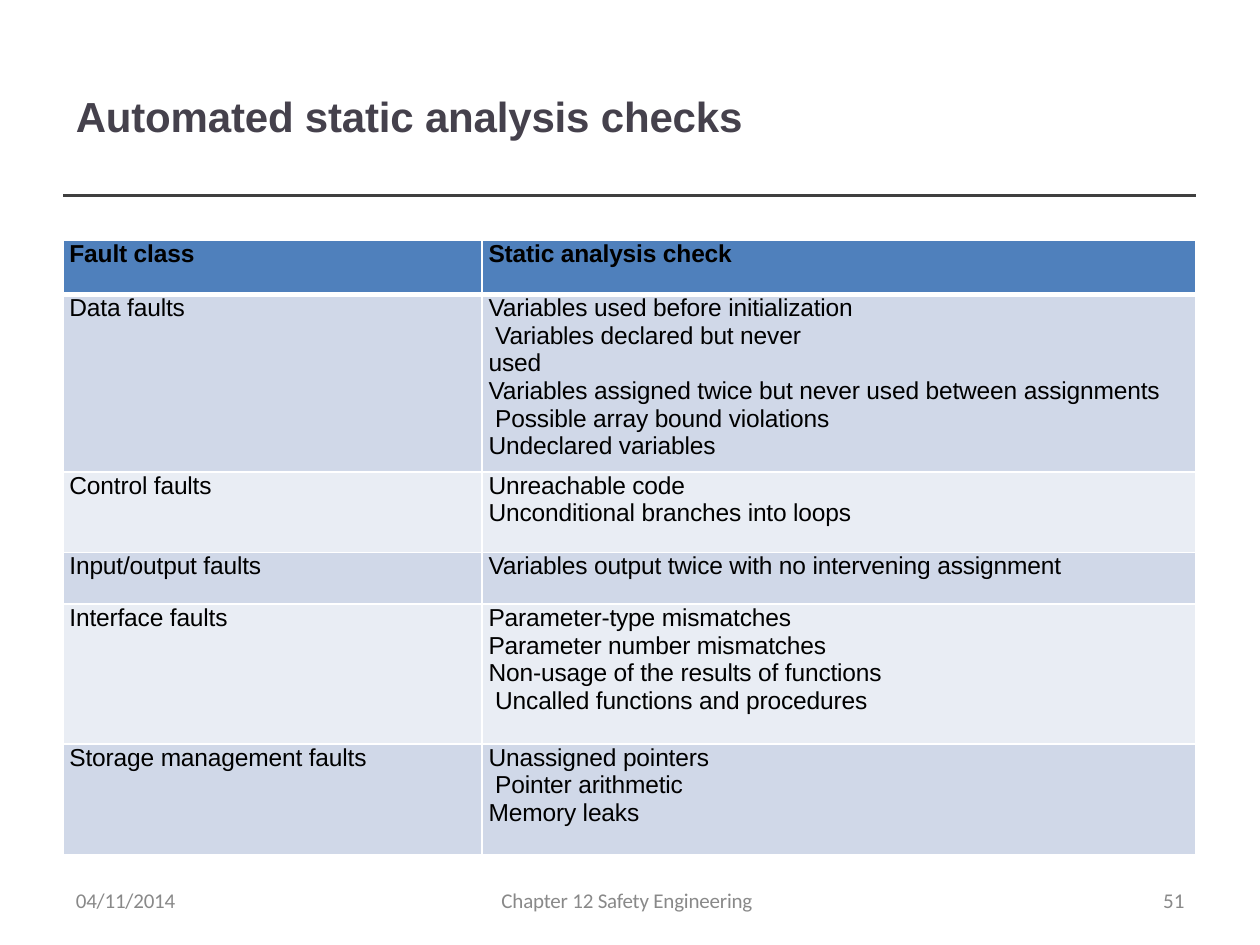
from lxml.etree import SubElement
from pptx import Presentation
from pptx.dml.color import RGBColor
from pptx.enum.shapes import MSO_CONNECTOR
from pptx.oxml.ns import qn
from pptx.util import Cm, Pt

INK = RGBColor(0x45, 0x41, 0x4C)
RULE = RGBColor(0x3F, 0x3F, 0x3F)
GREY = RGBColor(0x89, 0x89, 0x89)
BLACK = RGBColor(0, 0, 0)
WHITE = RGBColor(0xFF, 0xFF, 0xFF)
HEADER = RGBColor(0x4F, 0x80, 0xBC)
BAND_DARK = RGBColor(0xD0, 0xD8, 0xE8)
BAND_LIGHT = RGBColor(0xE9, 0xED, 0xF4)

COLUMN_WIDTHS = (8.45, 14.38)
ROW_HEIGHTS = (1.09, 3.57, 1.63, 1.04, 2.82, 2.23)
SPACES_BEFORE = (6.3, 3.8, 4.8, 4.8, 4.8, 4.8)
FAULTS = [
    ("Fault class", [["Static analysis check"]]),
    ("Data faults", [
        ["Variables used before initialization", " Variables declared but never", "used"],
        ["Variables assigned twice but never used between assignments",
         " Possible array bound violations"],
        ["Undeclared variables"],
    ]),
    ("Control faults", [["Unreachable code"], ["Unconditional branches into loops"]]),
    ("Input/output faults", [["Variables output twice with no intervening assignment"]]),
    ("Interface faults", [
        ["Parameter-type mismatches", "Parameter number mismatches"],
        ["Non-usage of the results of functions", " Uncalled functions and procedures"],
    ]),
    ("Storage management faults", [
        ["Unassigned pointers", " Pointer arithmetic", "Memory leaks"],
    ]),
]


def add_text(paragraph, text, font, size, color, bold=False, spacing=-10):
    run = paragraph.add_run()
    run.text = text
    run.font.name = font
    run.font.size = Pt(size)
    run.font.color.rgb = color
    run.font.bold = bold
    run.font._element.set("spc", str(spacing))


def add_box(slide, left, top, width, height, inset_left=0.03, inset_top=0):
    frame = slide.shapes.add_textbox(Cm(left), Cm(top), Cm(width), Cm(height)).text_frame
    frame.word_wrap = True
    frame.margin_left, frame.margin_top = Cm(inset_left), Cm(inset_top)
    frame.margin_right = frame.margin_bottom = 0
    return frame.paragraphs[0]


def add_heading(slide, left, top, width, height):
    title = add_box(slide, left + 0.23, top, width - 0.4, height, inset_top=0.51)
    add_text(title, "Automated static analysis checks", "Arial", 24, INK, bold=True)
    rule_top = Cm(top + 2.62)
    for length in (20.3, width):
        rule = slide.shapes.add_connector(
            MSO_CONNECTOR.STRAIGHT, Cm(left), rule_top, Cm(left + length), rule_top)
        rule.line.color.rgb = RULE
        rule.line.width = Pt(2.16)
        SubElement(rule._element.spPr, qn("a:effectLst"))


def set_borders(cell, top, bottom):
    properties = cell._tc.get_or_add_tcPr()
    for side, points in (("L", 1), ("R", 1), ("T", top), ("B", bottom)):
        border = SubElement(properties, qn(f"a:ln{side}"), w=str(Pt(points)))
        fill = SubElement(border, qn("a:solidFill"))
        SubElement(fill, qn("a:srgbClr"), val=str(WHITE))


def fill_cell(cell, paragraphs, color, space_before, bold):
    cell.margin_left = Cm(0.13)
    cell.margin_right = cell.margin_top = cell.margin_bottom = 0
    cell.fill.solid()
    cell.fill.fore_color.rgb = color
    frame = cell.text_frame
    for index, lines in enumerate(paragraphs):
        paragraph = frame.add_paragraph() if index else frame.paragraphs[0]
        paragraph.space_before = Pt(0 if index else space_before)
        for number, line in enumerate(lines):
            if number:
                paragraph.add_line_break()
            add_text(paragraph, line, "Arial", 14, BLACK, bold)


def add_fault_table(slide, left, top, width, height):
    table = slide.shapes.add_table(
        len(FAULTS), 2, Cm(left), Cm(top), Cm(width), Cm(height)).table
    for column, column_width in zip(table.columns, COLUMN_WIDTHS):
        column.width = Cm(column_width)
    for index, (fault, checks) in enumerate(FAULTS):
        table.rows[index].height = Cm(ROW_HEIGHTS[index])
        band = BAND_DARK if index % 2 else BAND_LIGHT
        for column, paragraphs in enumerate(([[fault]], checks)):
            cell = table.cell(index, column)
            set_borders(cell, 3 if index == 1 else 1, 3 if index == 0 else 1)
            fill_cell(cell, paragraphs, band if index else HEADER,
                      SPACES_BEFORE[index], bold=index == 0)


def add_footer(slide, left, top, height):
    for text, offset, width, inset, spacing in (
        ("04/11/2014", 0, 2.3, 0.03, -10),
        ("Chapter 12 Safety Engineering", 8.58, 5.4, 0.03, -10),
        ("51", 21.87, 0.6, 0.08, 0),
    ):
        paragraph = add_box(slide, left + offset, top, width, height, inset)
        paragraph.line_spacing = Pt(12.4)
        add_text(paragraph, text, "Calibri", 12, GREY, spacing=spacing)


def main():
    deck = Presentation()
    deck.slide_width, deck.slide_height = Cm(25.4), Cm(19.05)
    slide = deck.slides.add_slide(deck.slide_layouts[6])
    add_heading(slide, 1.27, 1.32, 22.83, 2.06)
    add_fault_table(slide, 1.27, 4.85, sum(COLUMN_WIDTHS), sum(ROW_HEIGHTS))
    add_footer(slide, 1.5, 17.96, 0.48)
    deck.save("out.pptx")


if __name__ == "__main__":
    main()
